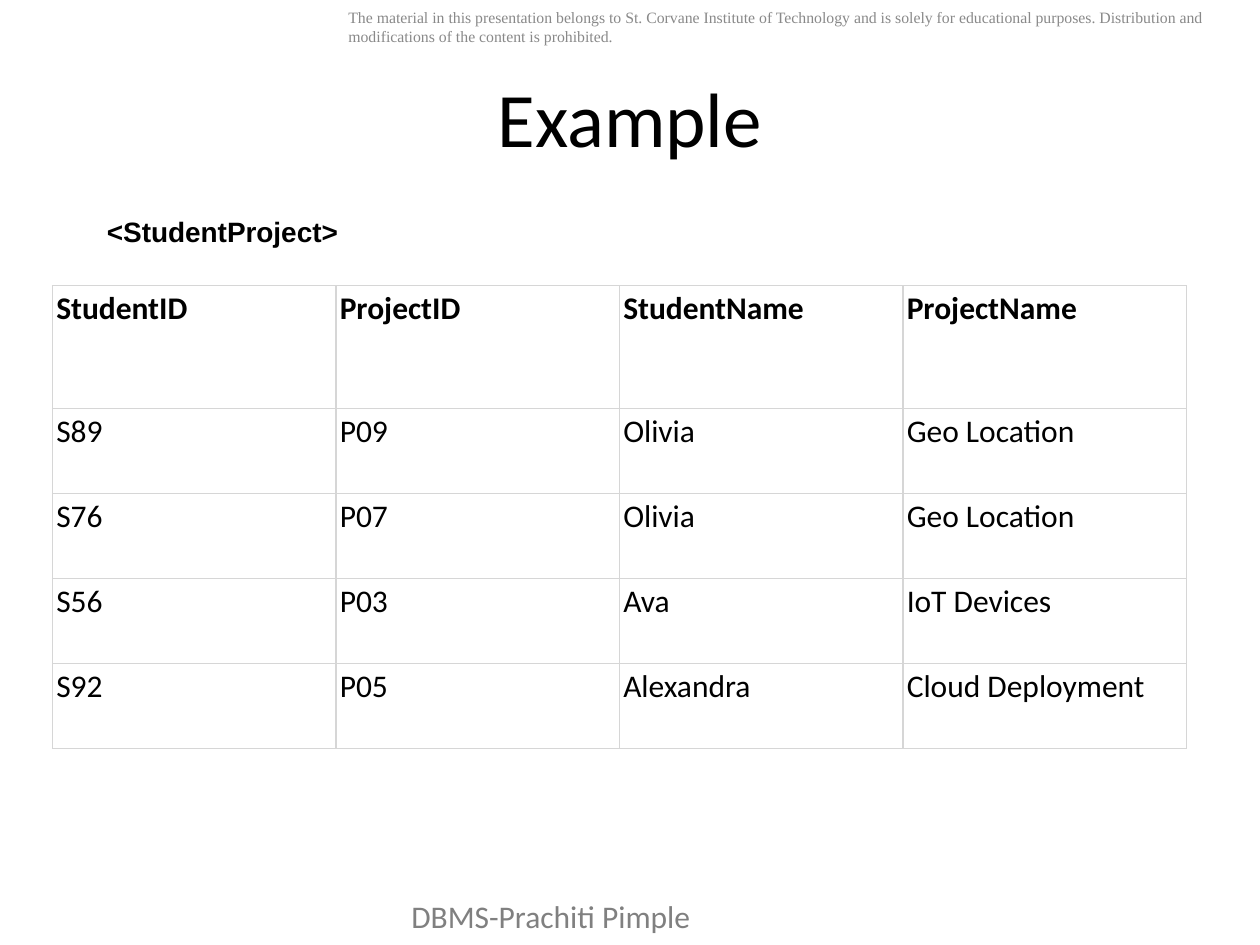
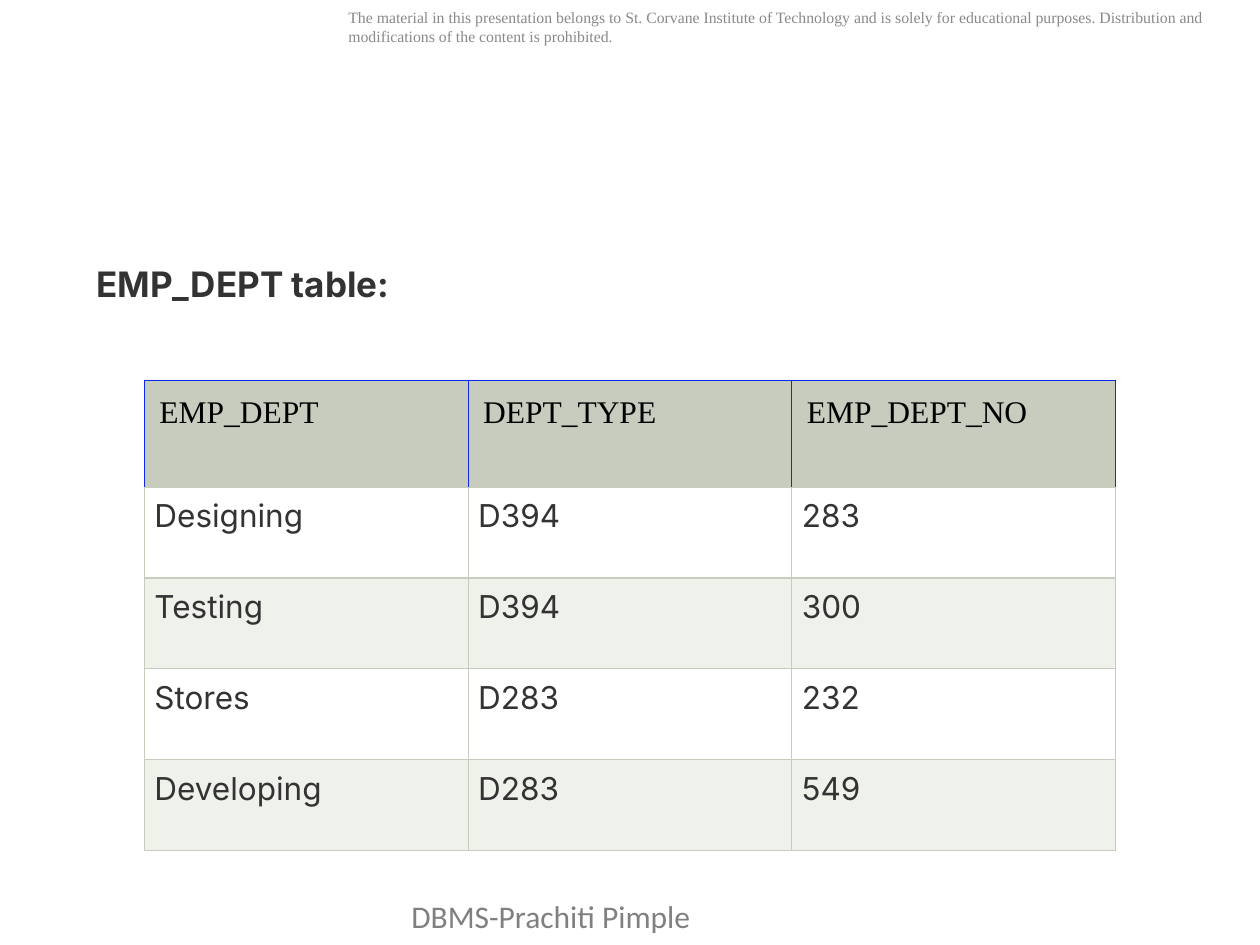
from lxml import etree
from pptx import Presentation
from pptx.dml.color import RGBColor
from pptx.enum.shapes import MSO_SHAPE
from pptx.enum.text import MSO_ANCHOR, PP_ALIGN
from pptx.oxml.ns import qn
from pptx.util import Pt

RECT = MSO_SHAPE.RECTANGLE
TOP, MIDDLE = MSO_ANCHOR.TOP, MSO_ANCHOR.MIDDLE
LEFT, CENTER, JUSTIFY = PP_ALIGN.LEFT, PP_ALIGN.CENTER, PP_ALIGN.JUSTIFY
TITLE_ONLY, BLANK = 5, 6

# Colours and fonts
BLACK, WHITE, INK = "000000", "FFFFFF", "333333"
NOTE, FOOT = "898989", "808080"
GRID, SAGE, PALE, BLUE = "D6D6D6", "C7CCBE", "EFF1EB", "1029E8"
SANS, SERIF, INTER = "Calibri", "Times New Roman", "Inter"

NOTICE = ("The material in this presentation belongs to St. Corvane Institute "
          "of Technology and is solely for educational purposes. Distribution "
          "and modifications of the content is prohibited.")

PROJECTS = [
    ("StudentID", "ProjectID", "StudentName", "ProjectName"),
    ("S89", "P09", "Olivia", "Geo Location"),
    ("S76", "P07", "Olivia", "Geo Location"),
    ("S56", "P03", "Ava", "IoT Devices"),
    ("S92", "P05", "Alexandra", "Cloud Deployment"),
]
DEPTS = [
    ("EMP_DEPT", "DEPT_TYPE", "EMP_DEPT_NO"),
    ("Designing", "D394", "283"),
    ("Testing", "D394", "300"),
    ("Stores", "D283", "232"),
    ("Developing", "D283", "549"),
]


def color(value):
    return RGBColor.from_string(value)


def write(frame, text, size, font, ink, bold=False, align=LEFT):
    frame.text = text
    para = frame.paragraphs[0]
    para.alignment = align
    para.font.size, para.font.name, para.font.bold = Pt(size), font, bold
    para.font.color.rgb = color(ink)


def add_text(slide, box, text, *style, wrap=True, anchor=TOP, **extra):
    shape = slide.shapes.add_textbox(*map(Pt, box))
    frame = shape.text_frame
    frame.word_wrap, frame.vertical_anchor = wrap, anchor
    write(frame, text, *style, **extra)
    return shape


def add_title(slide, text):
    title = slide.shapes.title
    title.left, title.top, title.width, title.height = map(
        Pt, (36, 21.6, 648, 90))
    title.text_frame.vertical_anchor = MIDDLE
    write(title.text_frame, text, 44, SANS, BLACK, align=CENTER)


def add_label(slide, box, text):
    label = slide.shapes.add_shape(RECT, *map(Pt, box))
    label.shadow.inherit = False
    label.fill.solid()
    label.fill.fore_color.rgb = color(WHITE)
    label.line.fill.background()
    label.text_frame.word_wrap = True
    label.text_frame.vertical_anchor = MIDDLE
    write(label.text_frame, text, 20, INTER, INK, bold=True, align=JUSTIFY)


def set_fill(cell, value):
    if value is None:
        cell.fill.background()
    else:
        cell.fill.solid()
        cell.fill.fore_color.rgb = color(value)


def set_edges(cell, edges):
    """Border colours in the order left, right, top, bottom."""
    props = cell._tc.get_or_add_tcPr()
    for spot, (side, value) in enumerate(zip("LRTB", edges)):
        line = etree.Element(qn(f"a:ln{side}"), w=str(Pt(0.75)))
        fill = etree.SubElement(line, qn("a:solidFill"))
        etree.SubElement(fill, qn("a:srgbClr"), val=value)
        props.insert(spot, line)


def add_table(slide, box, rows, heights, style):
    """Build a table; style(row) gives inset, fill, edges and text format."""
    table = slide.shapes.add_table(
        len(rows), len(rows[0]), *map(Pt, box), Pt(sum(heights))).table
    table.horz_banding = False
    for r, values in enumerate(rows):
        table.rows[r].height = Pt(heights[r])
        inset, fill, edges, form = style(r)
        for c, value in enumerate(values):
            cell = table.cell(r, c)
            cell.margin_left = cell.margin_right = Pt(inset)
            cell.margin_top = cell.margin_bottom = Pt(inset)
            set_fill(cell, fill)
            set_edges(cell, edges)
            write(cell.text_frame, value, 18, **form)


def plain_style(row):
    form = dict(font=SANS, ink=BLACK, bold=row == 0)
    return 2.16, None, [GRID] * 4, form


def band_style(row):
    if row == 0:
        form = dict(font=SERIF, ink=BLACK)
        return 8.64, SAGE, [BLUE, BLUE, BLUE, SAGE], form
    form = dict(font=INTER, ink=INK, align=JUSTIFY)
    return 5.76, WHITE if row % 2 else PALE, [SAGE] * 4, form


def brand_master(deck, slide):
    """Put the notice and footer on the master, shared by all slides."""
    notice = add_text(slide, (192, 0.8, 528, 51), NOTICE, 9, SERIF, NOTE)
    footer = add_text(slide, (228, 509, 294, 29), "DBMS-Prachiti Pimple",
                      18, SANS, FOOT)
    for shape in (notice, footer):
        deck.slide_master.shapes.element.append(shape.element)


def main():
    deck = Presentation()
    deck.slide_width, deck.slide_height = Pt(720), Pt(540)

    # Student projects
    slide = deck.slides.add_slide(deck.slide_layouts[TITLE_ONLY])
    brand_master(deck, slide)
    add_title(slide, "Example")
    add_table(slide, (30, 163.2, 648), PROJECTS, [70.3] + [48.6] * 4,
              plain_style)
    add_text(slide, (54, 119, 148, 26.6), "<StudentProject>", 16, "Arial",
             BLACK, wrap=False, anchor=MIDDLE, bold=True, align=JUSTIFY)

    # Departments
    slide = deck.slides.add_slide(deck.slide_layouts[BLANK])
    add_table(slide, (82.5, 217.2, 555), DEPTS, [61.2] + [51.9] * 4,
              band_style)
    add_label(slide, (48, 146.4, 468, 31.5), "EMP_DEPT table:")

    deck.save("out.pptx")


if __name__ == "__main__":
    main()
